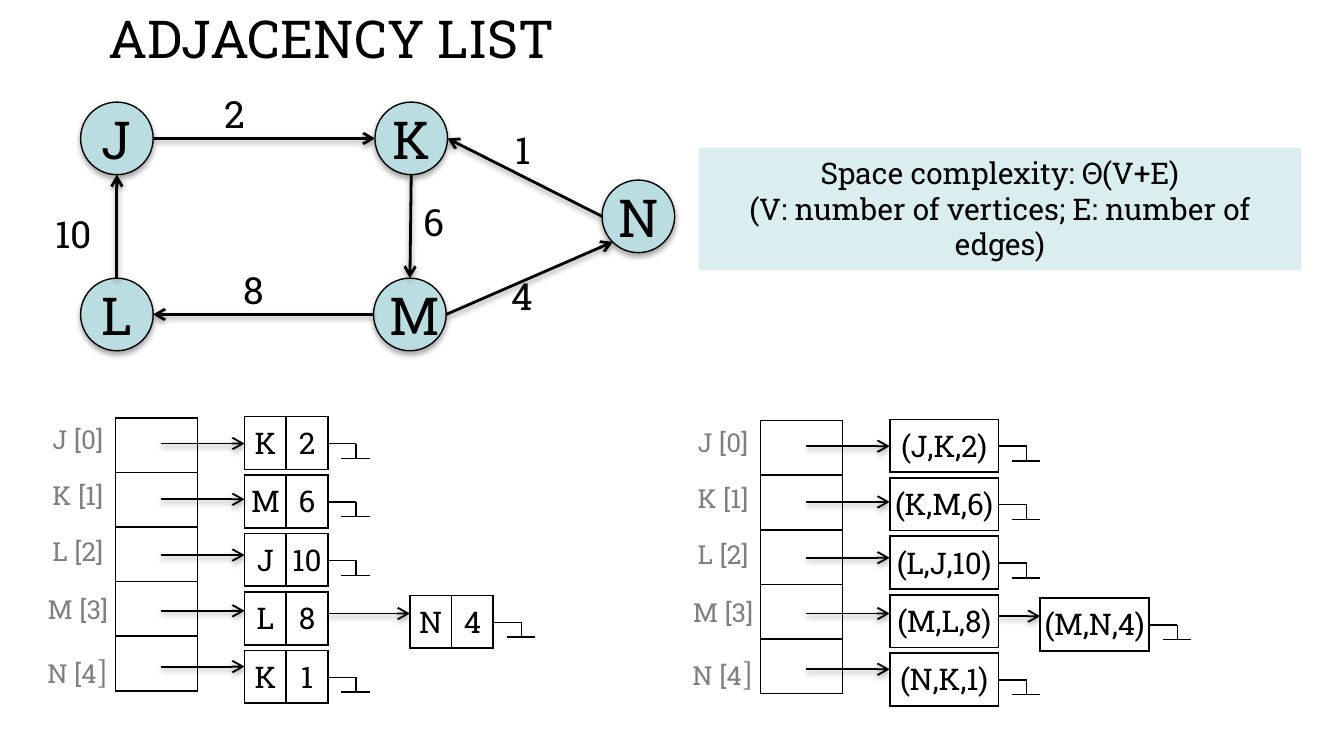
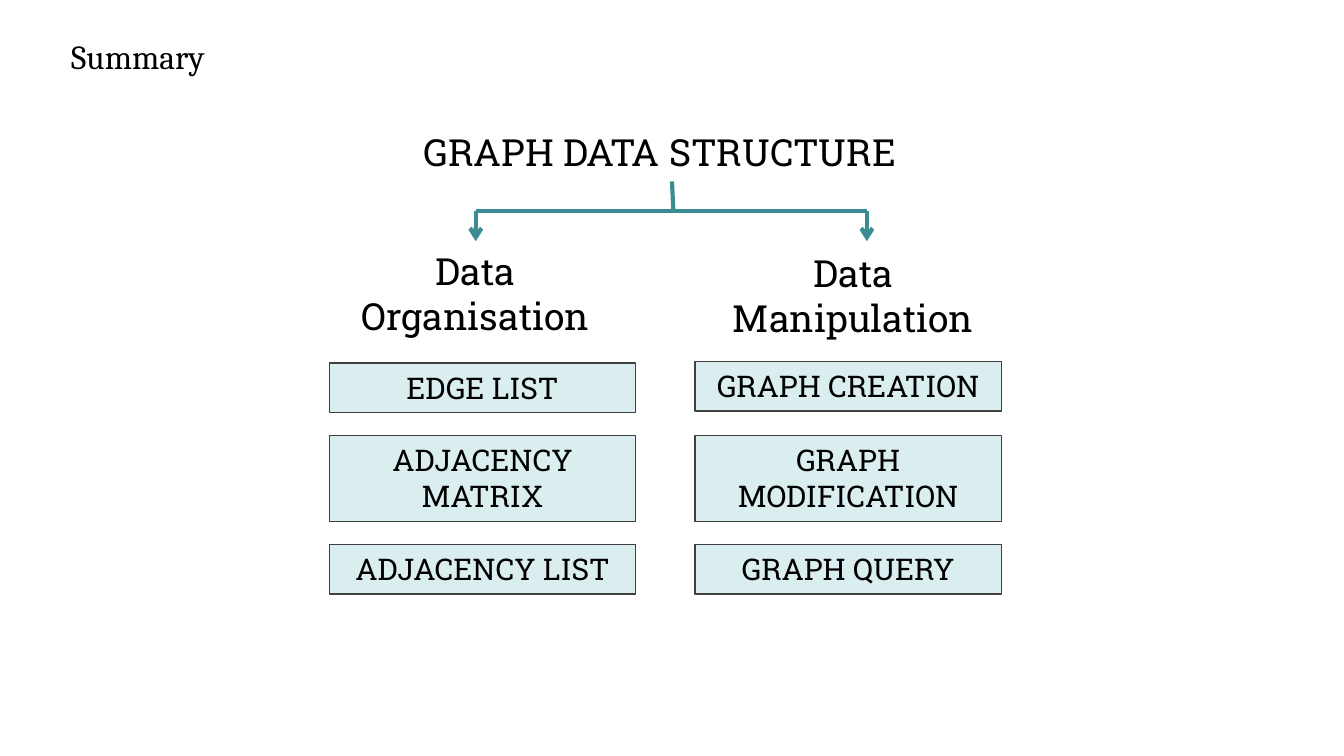
from dataclasses import dataclass
from itertools import pairwise
from typing import NamedTuple

from lxml.etree import SubElement
from pptx import Presentation
from pptx.dml.color import RGBColor
from pptx.enum.shapes import MSO_CONNECTOR as Connector, MSO_SHAPE as Preset
from pptx.enum.text import MSO_ANCHOR as Anchor, MSO_AUTO_SIZE as AutoSize, PP_ALIGN as Align
from pptx.oxml.ns import qn
from pptx.util import Emu, Inches, Pt

WIDTH, HEIGHT = Inches(10), Inches(5.625)
COLUMN, ROW = WIDTH / 100, HEIGHT / 56.25
SLAB, SERIF = "Roboto Slab", "Cambria"
BLACK, GREY, OUTLINE = "000000", "7F7F7F", "404040"
PALE, AQUA, TEAL = "DAEDEF", "BADDE1", "3C8C93"


class Area(NamedTuple):
    left: float
    top: float
    width: float
    height: float

    def emu(self) -> tuple[Emu, ...]:
        return (across(self.left), down(self.top), across(self.width), down(self.height))


@dataclass(frozen=True)
class TextStyle:
    size: float = 16
    font: str = SLAB
    color: str = BLACK
    align: Align = Align.CENTER
    anchor: Anchor = Anchor.TOP
    wrap: bool = True
    side_inset: float = 0.1


@dataclass(frozen=True)
class Stroke:
    color: str = BLACK
    width: float = 1
    arrow: bool = False
    shadow: bool = False


class Vertex(NamedTuple):
    name: str
    left: float
    top: float
    align: Align = Align.CENTER


class Edge(NamedTuple):
    start: tuple[float, float]
    end: tuple[float, float]
    weight: str
    label: Area


class AdjacencyList(NamedTuple):
    left: float
    top: float
    node_width: float
    chain_left: float
    heads: list[tuple[str, ...]]
    chained: tuple[str, ...]


class Branch(NamedTuple):
    heading: str
    heading_area: Area
    left: float
    first_top: float
    items: tuple[str, str, str]


POINTER = Stroke(arrow=True, shadow=True)
EDGE = Stroke(width=1.5, arrow=True, shadow=True)
THIN = Stroke(width=0.75)
TREE = Stroke(TEAL, 2.25)
TREE_ARROW = Stroke(TEAL, 2.25, arrow=True)

HEADING = TextStyle(20)
WEIGHT = TextStyle(20, wrap=False)
NODE = TextStyle(side_inset=0)
INDEX = TextStyle(14, color=GREY, wrap=False)
NODE_HEIGHT, NODE_PITCH, POINTER_PITCH = 3.7, 4.35, 4.15
CHAINED_ROW = 3

VERTEX_SIZE = 5.4
VERTICES = [
    Vertex("M", 27.8, 20.7, Align.LEFT),
    Vertex("K", 27.9, 7.6),
    Vertex("L", 6, 20.7),
    Vertex("J", 6, 7.6),
    Vertex("N", 44.8, 13.4),
]
EDGES = [
    Edge((11.4, 10.3), (27.9, 10.3), "2", Area(15.7, 6.3, 3.6, 4.4)),
    Edge((30.6, 13), (30.5, 20.7), "6", Area(30.5, 14.3, 3.6, 4.4)),
    Edge((27.8, 23.4), (11.4, 23.4), "8", Area(17.1, 19.4, 3.6, 4.4)),
    Edge((8.7, 20.7), (8.7, 13), "10", Area(3.1, 15.2, 4.8, 4.4)),
    Edge((44.8, 16.1), (33.3, 10.3), "1", Area(37.3, 9, 3.2, 4.4)),
    Edge((33.2, 23.4), (45.6, 18), "4", Area(37.1, 19.8, 3.6, 4.4)),
]
LISTS = [
    AdjacencyList(8.6, 31.1, 6.2, 30.5,
                  [("K", "2"), ("M", "6"), ("J", "10"), ("L", "8"), ("K", "1")], ("N", "4")),
    AdjacencyList(56.6, 31.3, 8.1, 77.4,
                  [("(J,K,2)",), ("(K,M,6)",), ("(L,J,10)",), ("(M,L,8)",), ("(N,K,1)",)],
                  ("(M,N,4)",)),
]
INDEX_LABELS = ["J [0]", "K [1]", "L [2]", "M [3]", "N [4"]
INDEX_GAPS = [0, 13.2, 13.2, 14.4, 13.2]
BRANCHES = [
    Branch("Data Organisation", Area(23.6, 18, 23.6, 4.8), 24.5, 27,
           ("EDGE LIST", "ADJACENCY MATRIX", "ADJACENCY LIST")),
    Branch("Data Manipulation", Area(51.7, 18.1, 23.6, 4.8), 51.7, 26.9,
           ("GRAPH CREATION", "GRAPH MODIFICATION", "GRAPH QUERY")),
]


def across(columns: float) -> Emu:
    return Emu(round(columns * COLUMN))


def down(rows: float) -> Emu:
    return Emu(round(rows * ROW))


def rgb(value: str) -> RGBColor:
    return RGBColor.from_string(value)


def style_para(para, style: TextStyle) -> None:
    para.alignment = style.align
    para.font.name, para.font.size = style.font, Pt(style.size)
    para.font.color.rgb = rgb(style.color)


def write(box, lines: list[str], style: TextStyle) -> None:
    frame = box.text_frame
    frame.auto_size = AutoSize.NONE
    frame.word_wrap, frame.vertical_anchor = style.wrap, style.anchor
    frame.margin_left = frame.margin_right = Inches(style.side_inset)
    frame.margin_top = frame.margin_bottom = Inches(0.05)
    frame.text = "\n".join(lines)
    for para in frame.paragraphs:
        style_para(para, style)


def add_text(page, area: Area, lines: list[str], style: TextStyle):
    box = page.shapes.add_textbox(*area.emu())
    write(box, lines, style)
    return box


def add_title(deck, text: str, area: Area, style: TextStyle):
    page = deck.slides.add_slide(deck.slide_layouts[5])
    title = page.shapes.title
    title.left, title.top, title.width, title.height = area.emu()
    write(title, [text], style)
    return page


def cast_shadow(effects, opacity: int, distance: float) -> None:
    shade = SubElement(effects, qn("a:outerShdw"), blurRad=str(Pt(3.1)),
                       dist=str(Pt(distance)), dir="5400000", rotWithShape="0")
    color = SubElement(shade, qn("a:srgbClr"), val=BLACK)
    SubElement(color, qn("a:alpha"), val=str(opacity * 1000))


def add_filled(page, preset: Preset, area: Area, fill: str, line: str | None,
               lines: list[str], style: TextStyle):
    shape = page.shapes.add_shape(preset, *area.emu())
    shape.shadow.inherit = False
    shape.fill.solid()
    shape.fill.fore_color.rgb = rgb(fill)
    if line:
        shape.line.color.rgb, shape.line.width = rgb(line), Pt(0.75)
    else:
        shape.line.fill.background()
    write(shape, lines, style)
    return shape


def add_line(shapes, start: tuple[float, float], end: tuple[float, float], stroke: Stroke) -> None:
    line = shapes.add_connector(Connector.STRAIGHT, across(start[0]), down(start[1]),
                                across(end[0]), down(end[1]))
    line.line.color.rgb, line.line.width = rgb(stroke.color), Pt(stroke.width)
    properties = line.element.spPr
    if stroke.arrow:
        SubElement(properties.find(qn("a:ln")), qn("a:tailEnd"), type="arrow")
    effects = SubElement(properties, qn("a:effectLst"))
    if stroke.shadow:
        cast_shadow(effects, 38, 1.6)


def border_cell(cell) -> None:
    cell.fill.background()
    properties = cell._tc.get_or_add_tcPr()
    for position, side in enumerate(("lnL", "lnR", "lnT", "lnB")):
        line = SubElement(properties, qn(f"a:{side}"), w=str(Pt(1)))
        SubElement(SubElement(line, qn("a:solidFill")), qn("a:srgbClr"), val=BLACK)
        properties.insert(position, line)


def add_grid(page, area: Area, rows: list[tuple[str, ...]]) -> None:
    table = page.shapes.add_table(len(rows), len(rows[0]), *area.emu()).table
    table.first_row = table.horz_banding = False
    for row, texts in enumerate(rows):
        for column, text in enumerate(texts):
            cell = table.cell(row, column)
            border_cell(cell)
            if text:
                cell.margin_left = cell.margin_right = 0
                cell.text = text
                style_para(cell.text_frame.paragraphs[0], NODE)


def add_ground(page, left: float, top: float) -> None:
    shapes = page.shapes.add_group_shape().shapes
    add_line(shapes, (left, top), (left + 2.1, top), THIN)
    add_line(shapes, (left + 1, top + 1.1), (left + 3.1, top + 1.1), THIN)
    add_line(shapes, (left + 2.1, top), (left + 2.1, top + 1.1), THIN)


def add_node(page, left: float, top: float, width: float, texts: tuple[str, ...],
             last: bool = True) -> None:
    add_grid(page, Area(left, top, width, NODE_HEIGHT), [texts])
    if last:
        add_ground(page, left + width, top + 2)


def add_index(page, left: float, top: float) -> None:
    box = add_text(page, Area(left, top, 6.6, 21), INDEX_LABELS, INDEX)
    paras = box.text_frame.paragraphs
    for para, gap in zip(paras[1:], INDEX_GAPS[1:]):
        para.space_before = Pt(gap)
    span = paras[-1].add_run()
    span.text = "]"
    span.font.name, span.font.size = SERIF, Pt(18)


def add_adjacency(page, item: AdjacencyList) -> None:
    add_grid(page, Area(item.left, item.top, 6.1, 20.3), [("",)] * len(item.heads))
    add_index(page, item.left - 6.1, item.top - 0.1)
    head_left = item.left + 9.6
    for row, texts in enumerate(item.heads):
        level = item.top + 1.9 + row * POINTER_PITCH
        add_line(page.shapes, (item.left + 3.4, level), (head_left, level), POINTER)
        add_node(page, head_left, item.top - 0.1 + row * NODE_PITCH, item.node_width, texts,
                 row != CHAINED_ROW)
    level = item.top + 2.1 + CHAINED_ROW * POINTER_PITCH
    add_line(page.shapes, (head_left + item.node_width, level), (item.chain_left, level), POINTER)
    add_node(page, item.chain_left, item.top + 13.2, item.node_width, item.chained)


def build_adjacency_page(deck) -> None:
    page = add_title(deck, "ADJACENCY LIST", Area(2.1, 0, 45.1, 5.7), TextStyle(28))
    for item in LISTS:
        add_adjacency(page, item)
    add_filled(page, Preset.RECTANGLE, Area(52, 11, 44.8, 9.1), PALE, None,
               ["Space complexity: Θ(V+E)", "(V: number of vertices; E: number of edges)"],
               TextStyle())
    for vertex in VERTICES:
        style = TextStyle(28, align=vertex.align, anchor=Anchor.MIDDLE, side_inset=0.04)
        area = Area(vertex.left, vertex.top, VERTEX_SIZE, VERTEX_SIZE)
        circle = add_filled(page, Preset.OVAL, area, AQUA, BLACK, [vertex.name], style)
        cast_shadow(circle.element.spPr.find(qn("a:effectLst")), 35, 1.8)
    for edge in EDGES:
        add_line(page.shapes, edge.start, edge.end, EDGE)
        add_text(page, edge.label, [edge.weight], WEIGHT)


def build_summary_page(deck) -> None:
    page = add_title(deck, "Summary", Area(4.3, 2.2, 12.5, 4),
                     TextStyle(18, SERIF, align=Align.LEFT, wrap=False))
    add_text(page, Area(28.8, 9.1, 40.6, 4.5), ["GRAPH DATA STRUCTURE"], HEADING)
    ends = (35.4, 64.5)
    for left, right in pairwise(ends):
        add_line(page.shapes, (left, 15.7), (right, 15.7), TREE)
    add_line(page.shapes, (50, 13.5), (50.1, 15.7), TREE)
    for end, branch in zip(ends, BRANCHES):
        add_line(page.shapes, (end, 15.7), (end, 17.95), TREE_ARROW)
        add_text(page, branch.heading_area, [branch.heading], HEADING)
        slots = ((branch.first_top, 3.7), (32.4, 6.4), (40.5, 3.7))
        for (top, height), text in zip(slots, branch.items):
            add_filled(page, Preset.RECTANGLE, Area(branch.left, top, 22.8, height), PALE,
                       OUTLINE, [text], TextStyle())


def main() -> None:
    deck = Presentation()
    deck.slide_width, deck.slide_height = WIDTH, HEIGHT
    build_adjacency_page(deck)
    build_summary_page(deck)
    deck.save("out.pptx")


if __name__ == "__main__":
    main()
